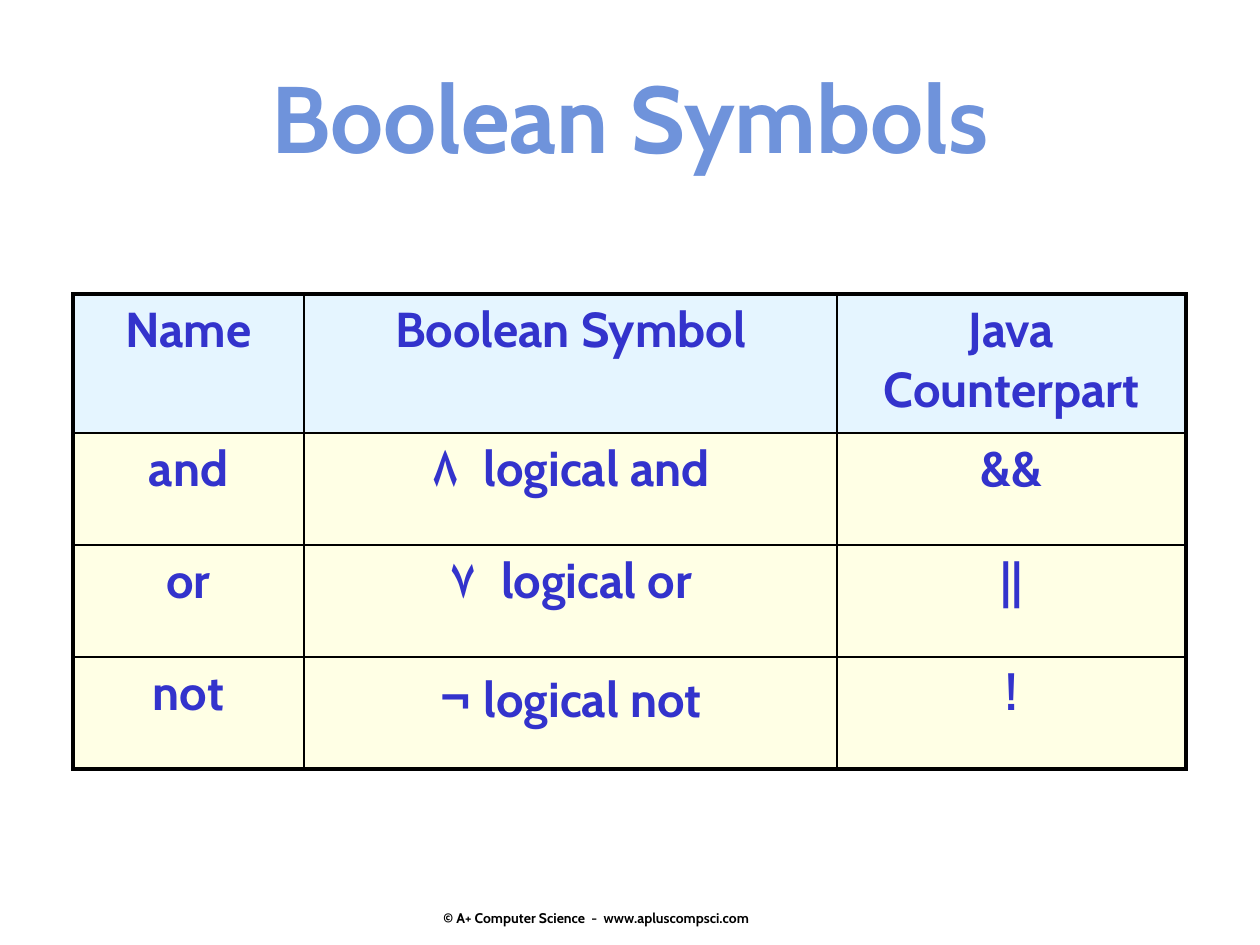
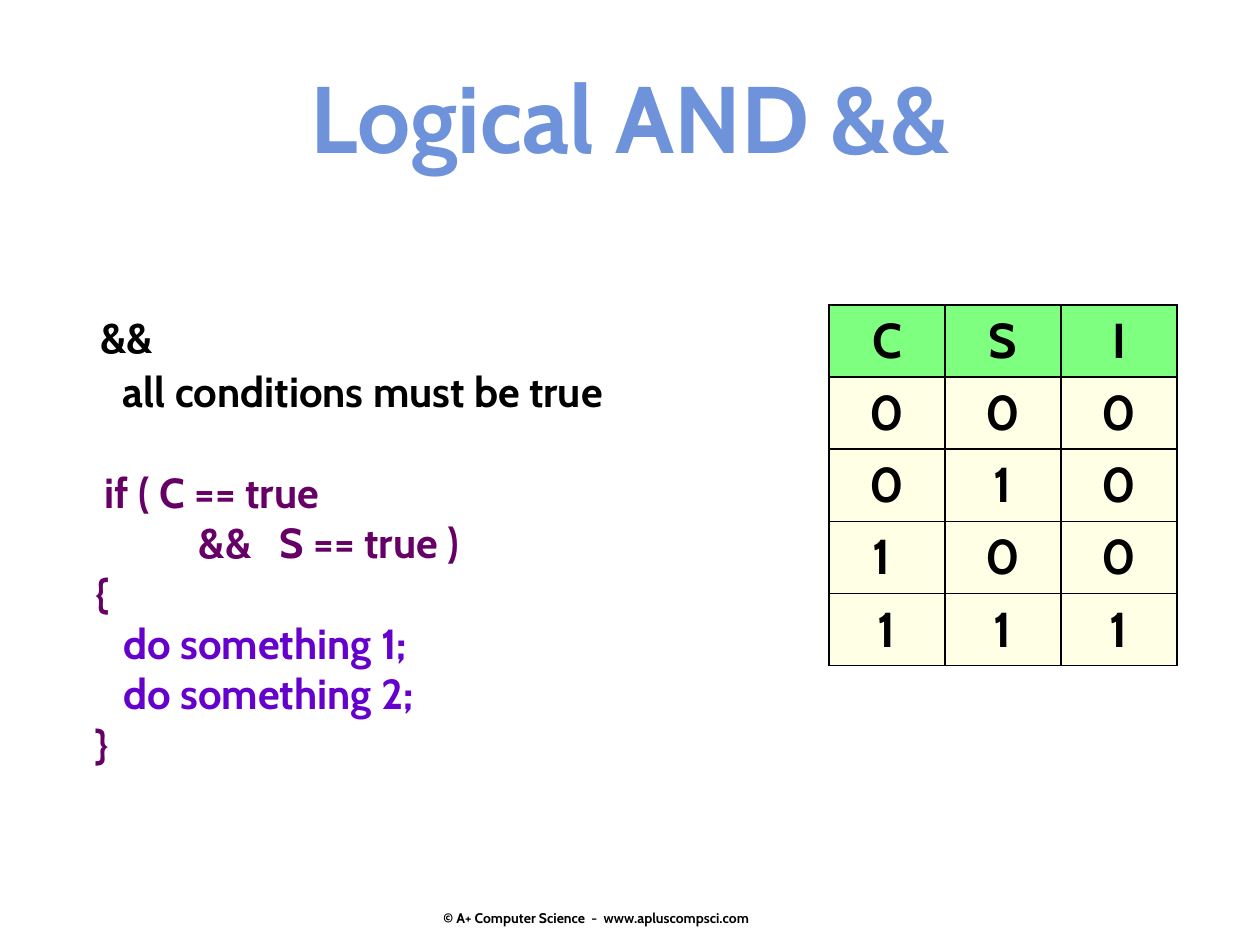
import collections
import dataclasses

import lxml.etree
import pptx
import pptx.dml.color
import pptx.enum.text
import pptx.oxml.ns
import pptx.util

PX_PER_INCH = 126
Box = collections.namedtuple("Box", "left top width height")
ALIGN = pptx.enum.text.PP_ALIGN
ANCHOR = pptx.enum.text.MSO_ANCHOR


@dataclasses.dataclass(frozen=True)
class Theme:
    font: str = "Cabin"
    title: str = "6F93DB"
    ink: str = "000000"
    symbol_text: str = "3333CC"
    condition: str = "660066"
    action: str = "6600CC"
    symbol_header: str = "CCECFF"
    truth_header: str = "00FF00"
    table_body: str = "FFFFCC"
    fill_opacity: int = 50
    title_size: int = 54
    table_size: int = 28
    symbol_size: int = 32
    body_size: int = 24
    footer_size: int = 8
    thin_line: float = 1
    thick_line: float = 2.25


THEME = Theme()
TITLE_BOX = Box(0, 53, 1260, 127)
FOOTER_BOX = Box(431, 906, 399, 24)
SYMBOL_TABLE_BOX = Box(73, 294, 1113, 475)
TRUTH_TABLE_BOX = Box(829, 305, 348, 355)
CODE_BOX = Box(73, 305, 644, 474)


def px(length):
    return pptx.util.Emu(round(length * 914400 / PX_PER_INCH))


def place(shape, box):
    shape.left, shape.top, shape.width, shape.height = map(px, box)


def write_text(paragraph, text, size, color=THEME.ink, align=ALIGN.LEFT,
               space_before=0, tracking=None):
    paragraph.alignment = align
    paragraph.space_before = pptx.util.Pt(space_before)
    run = paragraph.add_run()
    run.text = text
    run.font.name = THEME.font
    run.font.size = pptx.util.Pt(size)
    run.font.bold = True
    run.font.color.rgb = pptx.dml.color.RGBColor.from_string(color)
    if tracking:
        run.font._element.set("spc", str(tracking * 100))


def prepare_frame(shape, anchor, wrap):
    frame = shape.text_frame
    frame.auto_size = pptx.enum.text.MSO_AUTO_SIZE.NONE
    frame.vertical_anchor = anchor
    frame.word_wrap = wrap
    return frame


def draw_title(slide, box, text):
    title = slide.shapes.title
    place(title, box)
    frame = prepare_frame(title, ANCHOR.TOP, True)
    write_text(frame.paragraphs[0], text, size=THEME.title_size,
               color=THEME.title, align=ALIGN.CENTER)


def draw_footer(slide, box):
    footer = slide.shapes.add_textbox(*map(px, box))
    frame = prepare_frame(footer, ANCHOR.MIDDLE, False)
    write_text(frame.paragraphs[0], "© A+ Computer Science  -  www.apluscompsci.com",
               size=THEME.footer_size)


def add_slide(presentation, layout_index, title):
    slide = presentation.slides.add_slide(presentation.slide_layouts[layout_index])
    draw_title(slide, TITLE_BOX, title)
    draw_footer(slide, FOOTER_BOX)
    return slide


def fill_cell(cell, color):
    cell.fill.solid()
    cell.fill.fore_color.rgb = pptx.dml.color.RGBColor.from_string(color)
    color_element = next(cell._tc.tcPr.iter(pptx.oxml.ns.qn("a:srgbClr")))
    alpha = lxml.etree.SubElement(color_element, pptx.oxml.ns.qn("a:alpha"))
    alpha.set("val", str(THEME.fill_opacity * 1000))


def border_cell(cell, widths):
    for position, (side, width) in enumerate(zip("LRTB", widths)):
        line = lxml.etree.Element(pptx.oxml.ns.qn(f"a:ln{side}"))
        line.set("w", str(pptx.util.Pt(width)))
        fill = lxml.etree.SubElement(line, pptx.oxml.ns.qn("a:solidFill"))
        lxml.etree.SubElement(fill, pptx.oxml.ns.qn("a:srgbClr")).set("val", THEME.ink)
        cell._tc.tcPr.insert(position, line)


def draw_table(slide, box, rows, column_widths, row_heights, header_color,
               text_color, outer_line):
    row_count, column_count = len(rows), len(column_widths)
    table = slide.shapes.add_table(row_count, column_count, *map(px, box)).table
    table.first_row = table.horz_banding = False
    for column, width in zip(table.columns, column_widths):
        column.width = px(width)
    for row, height in zip(table.rows, row_heights):
        row.height = px(height)
    for row_index, values in enumerate(rows):
        for column_index, value in enumerate(values):
            cell = table.cell(row_index, column_index)
            fill_cell(cell, THEME.table_body if row_index else header_color)
            edges = (column_index == 0, column_index == column_count - 1,
                     row_index == 0, row_index == row_count - 1)
            border_cell(cell, [outer_line if edge else THEME.thin_line for edge in edges])
            runs = [(value, {})] if isinstance(value, str) else value
            for text, style in runs:
                style = {"size": THEME.table_size, **style}
                write_text(cell.text_frame.paragraphs[0], text, color=text_color,
                           align=ALIGN.CENTER, **style)


def draw_code(slide, box):
    body = slide.placeholders[1]
    place(body, box)
    frame = prepare_frame(body, ANCHOR.TOP, False)
    lines = [
        ("&&", THEME.ink, 15, 0),
        ("all conditions must be true", THEME.ink, 37, 2),
        ("  if ( C == true", THEME.condition, 0, 29),
        ("            &&   S == true )", THEME.condition, 0, 0),
        (" {", THEME.condition, 0, 0),
        ("    do something 1;", THEME.action, 0, 0),
        ("    do something 2;", THEME.action, 0, 0),
        (" }", THEME.condition, 0, 0),
    ]
    for index, (text, color, indent, space_before) in enumerate(lines):
        paragraph = frame.add_paragraph() if index else frame.paragraphs[0]
        properties = paragraph._p.get_or_add_pPr()
        properties.set("marL", str(px(indent)))
        properties.set("indent", "0")
        lxml.etree.SubElement(properties, pptx.oxml.ns.qn("a:buNone"))
        write_text(paragraph, text, size=THEME.body_size, color=color,
                   space_before=space_before)


def symbol_runs(symbol, meaning, tracking=None):
    return [(symbol, {"size": THEME.symbol_size, "tracking": tracking}),
            (f" {meaning}", {})]


def build_symbols_slide(presentation):
    slide = add_slide(presentation, 5, "Boolean Symbols")
    rows = [
        ("Name", "Boolean Symbol", "Java Counterpart"),
        ("and", symbol_runs("۸", "logical and", tracking=6), "&&"),
        ("or", symbol_runs("۷", "logical or", tracking=6), "||"),
        ("not", symbol_runs("¬", "logical not"), "!"),
    ]
    draw_table(slide, SYMBOL_TABLE_BOX, rows, column_widths=(231, 533, 349),
               row_heights=(139, 112, 112, 112), header_color=THEME.symbol_header,
               text_color=THEME.symbol_text, outer_line=THEME.thick_line)


def build_and_slide(presentation):
    slide = add_slide(presentation, 1, "Logical AND &&")
    rows = ["CSI", "000", "010", ("1 ", "0", "0"), "111"]
    box = TRUTH_TABLE_BOX
    draw_table(slide, box, rows, column_widths=[box.width / 3] * 3,
               row_heights=[box.height / len(rows)] * len(rows),
               header_color=THEME.truth_header, text_color=THEME.ink,
               outer_line=THEME.thin_line)
    draw_code(slide, CODE_BOX)


def main():
    presentation = pptx.Presentation()
    presentation.slide_width, presentation.slide_height = px(1260), px(945)
    build_symbols_slide(presentation)
    build_and_slide(presentation)
    presentation.save("out.pptx")


if __name__ == "__main__":
    main()
